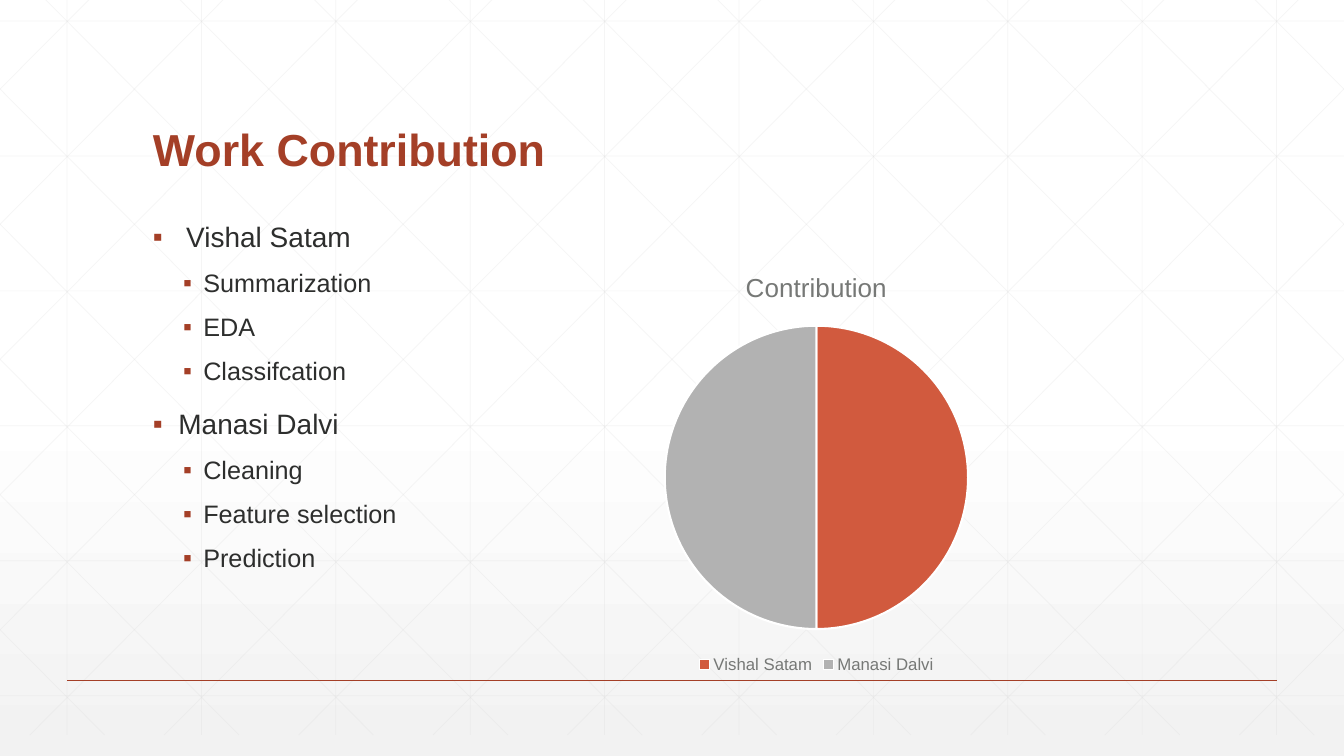
from lxml import etree
from pptx import Presentation
from pptx import util as u
from pptx.chart.data import CategoryChartData
from pptx.dml.color import RGBColor
from pptx.enum import chart as charts, shapes, text
from pptx.oxml import ns, parse_xml

WIDTH, HEIGHT = 33.87, 19.05
FONT, RUST, DARK, GREY = "Arial", "A43F27", "2D2E2D", "767876"
GRID_TOP, GRID_BOTTOM = -0.53, 18.52
CONTRIBUTIONS = {
    " Vishal Satam": ["Summarization", "EDA", "Classifcation"],
    "Manasi Dalvi": ["Cleaning", "Feature selection", "Prediction"],
}


def color(value):
    """Turn a hex string into a colour."""
    return RGBColor.from_string(value)


def style_font(font, size, value, bold=False):
    """Set the face, size, colour and weight of a font."""
    font.name, font.size, font.bold = FONT, u.Pt(size), bold
    font.color.rgb = color(value)


def set_background(page):
    """Fade the page from white to pale grey downwards."""
    fill = page.background.fill
    fill.gradient()
    fill.gradient_angle = 270
    for stop, position, value in zip(fill.gradient_stops, (0.53, 1), ("FFFFFF", "F2F2F2")):
        stop.position = position
        stop.color.rgb = color(value)


def add_line(owner, start, end, value, width, alpha=None):
    """Draw a straight line between two points given in centimetres."""
    points = [u.Cm(length) for length in (*start, *end)]
    line = owner.shapes.add_connector(shapes.MSO_CONNECTOR.STRAIGHT, *points)
    line.line.color.rgb = color(value)
    line.line.width = u.Pt(width)
    properties = line.element.xpath("./p:spPr")[0]
    if alpha:
        tint = properties.xpath(".//a:srgbClr")[0]
        etree.SubElement(tint, ns.qn("a:alpha"), val=str(alpha * 1000))
    etree.SubElement(properties, ns.qn("a:effectLst"))


def grid_lines():
    """Yield the ends of the upright, level and mirrored diagonal lines."""
    pitch, run = 10.16 / 3, 18.94
    slope = (GRID_BOTTOM - GRID_TOP) / run
    for column in range(10):
        x = 1.69 + column * pitch
        yield (x, GRID_TOP), (x, GRID_BOTTOM)
    for row in range(6):
        y = 0.53 + row * 3.4
        yield (0, y), (WIDTH, y)
    for step in range(-5, 10):
        x = 0.63 + step * pitch
        left, right = max(x, 0), min(x + run, WIDTH)
        top, bottom = (GRID_TOP + (edge - x) * slope for edge in (left, right))
        yield (left, top), (right, bottom)
        yield (WIDTH - left, top), (WIDTH - right, bottom)


def add_grid(page):
    """Group the faint lattice lines."""
    grid = page.shapes.add_group_shape()
    for start, end in grid_lines():
        add_line(grid, start, end, "D9D9D9", 0.5, alpha=25)


def place(box, left, top, width, height, anchor):
    """Move a placeholder to the front and set its frame."""
    box.element.getparent().append(box.element)
    box.left, box.top, box.width, box.height = map(u.Cm, (left, top, width, height))
    frame = box.text_frame
    frame.word_wrap = True
    frame.auto_size = text.MSO_AUTO_SIZE.NONE
    frame.vertical_anchor = anchor
    return frame


def set_bullet(para, margin, hanging):
    """Give a paragraph a square bullet and a hanging indent."""
    properties = para._p.get_or_add_pPr()
    properties.set("marL", str(u.Cm(margin)))
    properties.set("indent", str(-u.Cm(hanging)))
    tint = etree.SubElement(properties, ns.qn("a:buClr"))
    etree.SubElement(tint, ns.qn("a:srgbClr"), val=RUST)
    etree.SubElement(properties, ns.qn("a:buFont"), typeface=FONT)
    etree.SubElement(properties, ns.qn("a:buChar"), char="▪")


def fill_title(box):
    """Write the heading."""
    frame = place(box, 3.6, 1.4, 26.67, 3.18, text.MSO_ANCHOR.BOTTOM)
    frame.text = "Work Contribution"
    para = frame.paragraphs[0]
    para.alignment = text.PP_ALIGN.LEFT
    para.line_spacing = 0.9
    style_font(para.runs[0].font, 32, RUST, bold=True)


def fill_list(box):
    """Write each person followed by their tasks."""
    frame = place(box, 3.6, 5.5, 26.67, 10.6, text.MSO_ANCHOR.TOP)
    items = []
    for person, tasks in CONTRIBUTIONS.items():
        items += [(person, 0)] + [(task, 1) for task in tasks]
    frame.text = "\n".join(item for item, level in items)
    looks = [(20, 18, 0.64, 0.64), (18, 12, 1.27, 0.51)]
    for para, (item, level) in zip(frame.paragraphs, items):
        size, gap, margin, hanging = looks[level]
        para.level = level
        para.line_spacing = 0.9
        para.space_before = u.Pt(gap)
        set_bullet(para, margin, hanging)
        style_font(para.runs[0].font, size, DARK)


def set_plot_area(chart, **fractions):
    """Fix the inner plot area as fractions of the chart."""
    marks = "".join(f'<c:{name} val="{value}"/>' for name, value in fractions.items())
    layout = parse_xml(
        f'<c:layout {ns.nsdecls("c")}><c:manualLayout><c:layoutTarget val="inner"/>'
        f'<c:xMode val="edge"/><c:yMode val="edge"/>{marks}</c:manualLayout></c:layout>'
    )
    area = chart.element.xpath(".//c:plotArea")[0]
    for former in area.xpath("./c:layout"):
        area.remove(former)
    area.insert(0, layout)


def add_pie(page):
    """Chart the equal shares of the work."""
    data = CategoryChartData()
    data.categories = [person.strip() for person in CONTRIBUTIONS]
    data.add_series("Contribution", (50, 50))
    frame = map(u.Cm, (12.93, 6.35, 15.29, 10.72))
    chart = page.shapes.add_chart(charts.XL_CHART_TYPE.PIE, *frame, data).chart
    style_font(chart.font, 10, DARK)
    chart.has_title = True
    title = chart.chart_title
    title.include_in_layout = False
    title.text_frame.text = "Contribution"
    style_font(title.text_frame.paragraphs[0].runs[0].font, 18.6, GREY)
    chart.has_legend = True
    chart.legend.position = charts.XL_LEGEND_POSITION.BOTTOM
    chart.legend.include_in_layout = False
    style_font(chart.legend.font, 12, GREY)
    plot = chart.plots[0]
    plot.vary_by_categories = True
    for index, value in enumerate(("D15A3E", "B2B2B2")):
        slice_format = plot.series[0].points[index].format
        slice_format.fill.solid()
        slice_format.fill.fore_color.rgb = color(value)
        slice_format.line.color.rgb = color("FFFFFF")
        slice_format.line.width = u.Pt(1.5)
    set_plot_area(chart, x=0.25, y=0.17, w=0.5, h=0.72)


def main():
    """Build and save the deck."""
    deck = Presentation()
    deck.slide_width, deck.slide_height = u.Cm(WIDTH), u.Cm(HEIGHT)
    page = deck.slides.add_slide(deck.slide_layouts[1])
    set_background(page)
    add_grid(page)
    add_line(page, (1.69, 17.15), (32.17, 17.15), RUST, 1)
    fill_title(page.shapes.title)
    fill_list(page.placeholders[1])
    add_pie(page)
    deck.save("out.pptx")


main()
